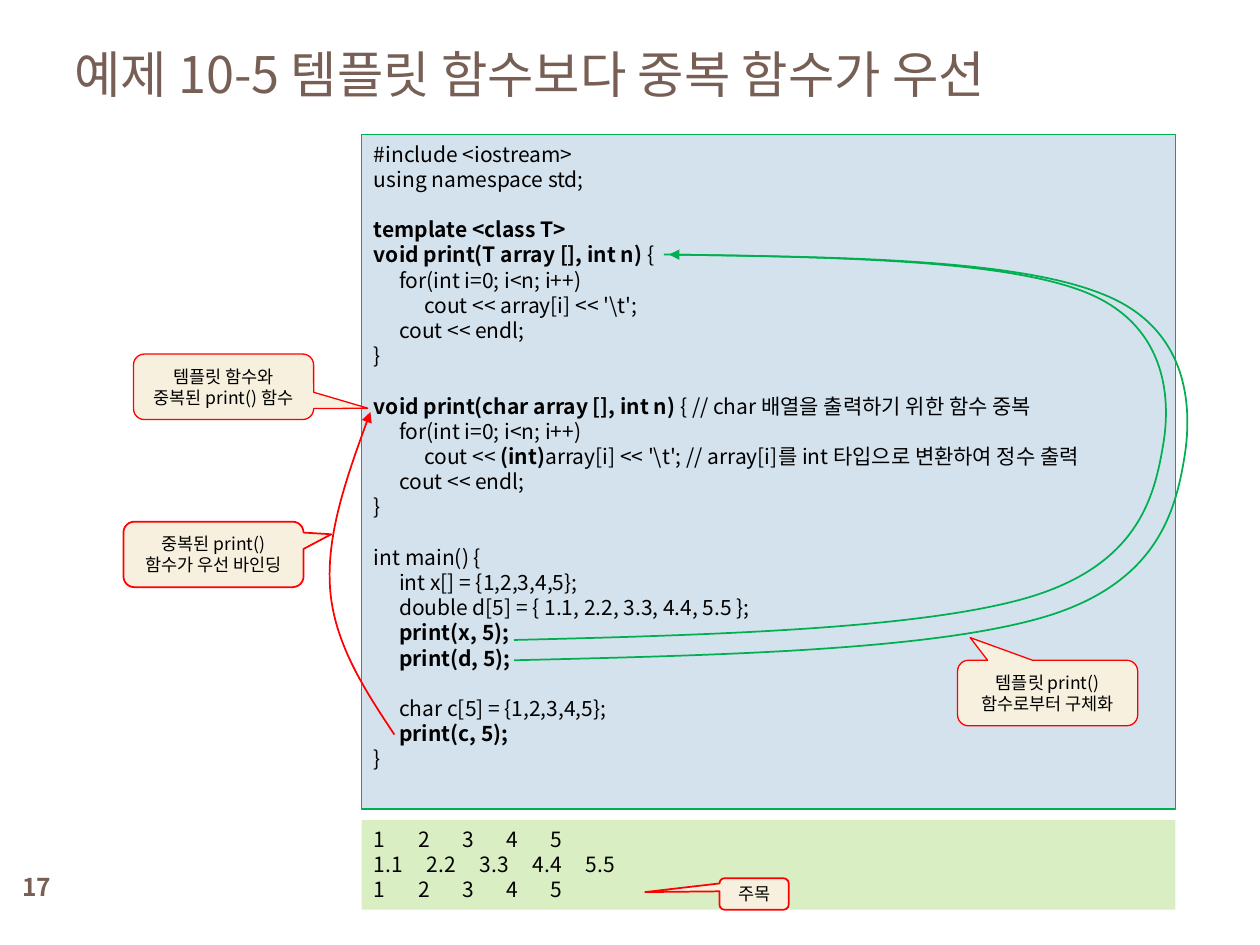
import pptx
import pptx.util
import pptx.dml.color
import pptx.enum.shapes
import pptx.enum.text
import pptx.oxml.ns
import lxml.etree

Inches, Pt = pptx.util.Inches, pptx.util.Pt
RGBColor = pptx.dml.color.RGBColor
SHAPE = pptx.enum.shapes.MSO_SHAPE
ALIGN = pptx.enum.text.PP_ALIGN
ANCHOR = pptx.enum.text.MSO_ANCHOR
qn = pptx.oxml.ns.qn

FONT = "Noto Sans CJK KR"
BROWN = RGBColor(0x77, 0x5F, 0x55)
BLACK = RGBColor(0, 0, 0)
BLUE = RGBColor(0xD4, 0xE2, 0xED)
LIME = RGBColor(0xDA, 0xEE, 0xC4)
CREAM = RGBColor(0xF7, 0xF0, 0xDE)
GREEN = RGBColor(0x00, 0xB0, 0x50)
RED = RGBColor(0xFF, 0, 0)

# Bold parts stand between ** marks
CODE = r"""#include <iostream>
using namespace std;

**template <class T>**
**void print(T array [], int n) **{
	for(int i=0; i<n; i++)
		cout << array[i] << '\t';
	cout << endl;
}

**void print(char array [], int n) **{ // char 배열을 출력하기 위한 함수 중복
	for(int i=0; i<n; i++)
		cout << **(int)**array[i] << '\t'; // array[i]를 int 타입으로 변환하여 정수 출력
	cout << endl;
}

int main() {
	int x[] = {1,2,3,4,5};
	double d[5] = { 1.1, 2.2, 3.3, 4.4, 5.5 };
	**print(x, 5);**
	**print(d, 5);**

	char c[5] = {1,2,3,4,5};
	**print(c, 5);**
}"""

# Each output row with its column step
OUTPUT = [
    ("1\t2\t3\t4\t5", 0.35),
    ("1.1\t2.2\t3.3\t4.4\t5.5", 0.42),
    ("1\t2\t3\t4\t5", 0.35),
]


def add_tabs(p, step, count):
    tabs = lxml.etree.SubElement(p._p.get_or_add_pPr(), qn("a:tabLst"))
    for i in range(1, count + 1):
        lxml.etree.SubElement(tabs, qn("a:tab"), pos=str(Inches(step * i)), algn="l")


def write(p, text, size=12, color=BLACK, bold=False, align=ALIGN.LEFT,
          leading=None, before=0):
    p.alignment = align
    if leading:
        p.line_spacing = Pt(leading)
    if before:
        p.space_before = Pt(before)
    for i, part in enumerate(text.split("**")):
        if not part:
            continue
        r = p.add_run()
        r.text = part
        r.font.size = Pt(size)
        r.font.bold = bold or i % 2 == 1
        r.font.color.rgb = color
        r.font.name = FONT
        lxml.etree.SubElement(r._r.get_or_add_rPr(), qn("a:ea"), typeface=FONT)


def next_paragraph(tf, index):
    return tf.paragraphs[0] if index == 0 else tf.add_paragraph()


def add_label(s, box, text, **fmt):
    tf = s.shapes.add_textbox(*map(Inches, box)).text_frame
    tf.word_wrap = True
    tf.vertical_anchor = ANCHOR.MIDDLE
    write(tf.paragraphs[0], text, **fmt)


def add_box(s, kind, box, fill, line=None, width=0.75, anchor=ANCHOR.TOP):
    sp = s.shapes.add_shape(kind, *map(Inches, box))
    sp.shadow.inherit = False
    sp.fill.solid()
    sp.fill.fore_color.rgb = fill
    if line is None:
        sp.line.fill.background()
    else:
        sp.line.color.rgb = line
        sp.line.width = Pt(width)
    sp.text_frame.word_wrap = True
    sp.text_frame.vertical_anchor = anchor
    return sp


def add_code(s, box):
    tf = add_box(s, SHAPE.RECTANGLE, box, BLUE, GREEN).text_frame
    index, gap = 0, 0
    for line in CODE.split("\n"):
        if not line:
            gap = 14.4
            continue
        p = next_paragraph(tf, index)
        add_tabs(p, 0.2, 2)
        write(p, line, leading=14.4, before=gap)
        index, gap = index + 1, 0


def add_output(s, box):
    tf = add_box(s, SHAPE.RECTANGLE, box, LIME).text_frame
    for i, (row, step) in enumerate(OUTPUT):
        p = next_paragraph(tf, i)
        add_tabs(p, step, 4)
        write(p, row, leading=14.4)


def add_callout(s, box, tip, lines, width=0.75):
    """Rounded callout whose pointer ends at the slide position tip."""
    sp = add_box(s, SHAPE.ROUNDED_RECTANGULAR_CALLOUT, box, CREAM, RED, width,
                 ANCHOR.MIDDLE)
    x, y, w, h = box
    sp.adjustments[0] = (tip[0] - x) / w - 0.5
    sp.adjustments[1] = (tip[1] - y) / h - 0.5
    for i, line in enumerate(lines):
        write(next_paragraph(sp.text_frame, i), line, size=10, align=ALIGN.CENTER,
              leading=12)


def add_curve(s, points, color, arrow=True):
    """Bezier curve: a start, then two controls and an end for each segment."""
    start, *rest = [(Inches(x), Inches(y)) for x, y in points]
    fb = s.shapes.build_freeform(*start)
    fb.add_line_segments(rest, close=False)
    sp = fb.convert_to_shape()
    sp.shadow.inherit = False
    sp.fill.background()
    sp.line.color.rgb = color
    sp.line.width = Pt(1)
    # Join every three straight pieces into one cubic piece
    steps = list(sp._element.iter(qn("a:lnTo")))
    for i in range(0, len(steps), 3):
        cubic = lxml.etree.Element(qn("a:cubicBezTo"))
        steps[i].addprevious(cubic)
        for step in steps[i:i + 3]:
            cubic.append(step[0])
            step.getparent().remove(step)
    if arrow:
        lxml.etree.SubElement(sp.line._get_or_add_ln(), qn("a:tailEnd"), type="triangle")


def main():
    prs = pptx.Presentation()
    prs.slide_width, prs.slide_height = Inches(10), Inches(7.5)
    s = prs.slides.add_slide(prs.slide_layouts[6])

    # Page number and title
    add_label(s, (0, 6.83, 0.58, 0.42), "17", size=14, color=BROWN, bold=True,
              align=ALIGN.CENTER)
    add_label(s, (0.49, 0.21, 8.92, 0.74), "예제 10-5 템플릿 함수보다 중복 함수가 우선",
              size=28.8, color=BROWN)

    # Code and the call bound to the overload
    add_code(s, (2.87, 1.07, 6.46, 5.35))
    add_curve(s, [(3.13, 5.83), (2.89, 5.47), (2.65, 5.1), (2.62, 4.67),
                  (2.59, 4.25), (2.76, 3.76), (2.94, 3.27)], RED)
    add_callout(s, (1.06, 2.81, 1.43, 0.52), (2.92, 3.24),
                ["템플릿 함수와", "중복된 print() 함수"])
    add_callout(s, (0.98, 4.14, 1.43, 0.52), (2.63, 4.24),
                ["중복된 print() 함수가 우선 바인딩"], width=1)

    # Program output
    add_output(s, (2.87, 6.51, 6.46, 0.71))
    add_callout(s, (5.71, 6.97, 0.55, 0.25), (5.12, 7.08), ["주목"], width=1)

    # Calls that instantiate the template
    add_curve(s, [(4.08, 5.08), (5.7, 5.04), (7.32, 4.99), (8.17, 4.74),
                  (9.03, 4.48), (9.16, 3.95), (9.23, 3.54),
                  (9.3, 3.14), (9.25, 2.56), (8.59, 2.31),
                  (7.93, 2.06), (6.6, 2.04), (5.27, 2.02)], GREEN, arrow=False)
    add_curve(s, [(4.08, 5.24), (5.75, 5.2), (7.42, 5.16), (8.31, 4.89),
                  (9.19, 4.62), (9.33, 4.05), (9.4, 3.63),
                  (9.47, 3.2), (9.42, 2.59), (8.74, 2.33),
                  (8.06, 2.06), (6.68, 2.04), (5.31, 2.02)], GREEN)
    add_callout(s, (7.6, 5.24, 1.43, 0.52), (7.7, 5.06),
                ["템플릿 print() 함수로부터 구체화"])

    prs.save("out.pptx")


if __name__ == "__main__":
    main()
